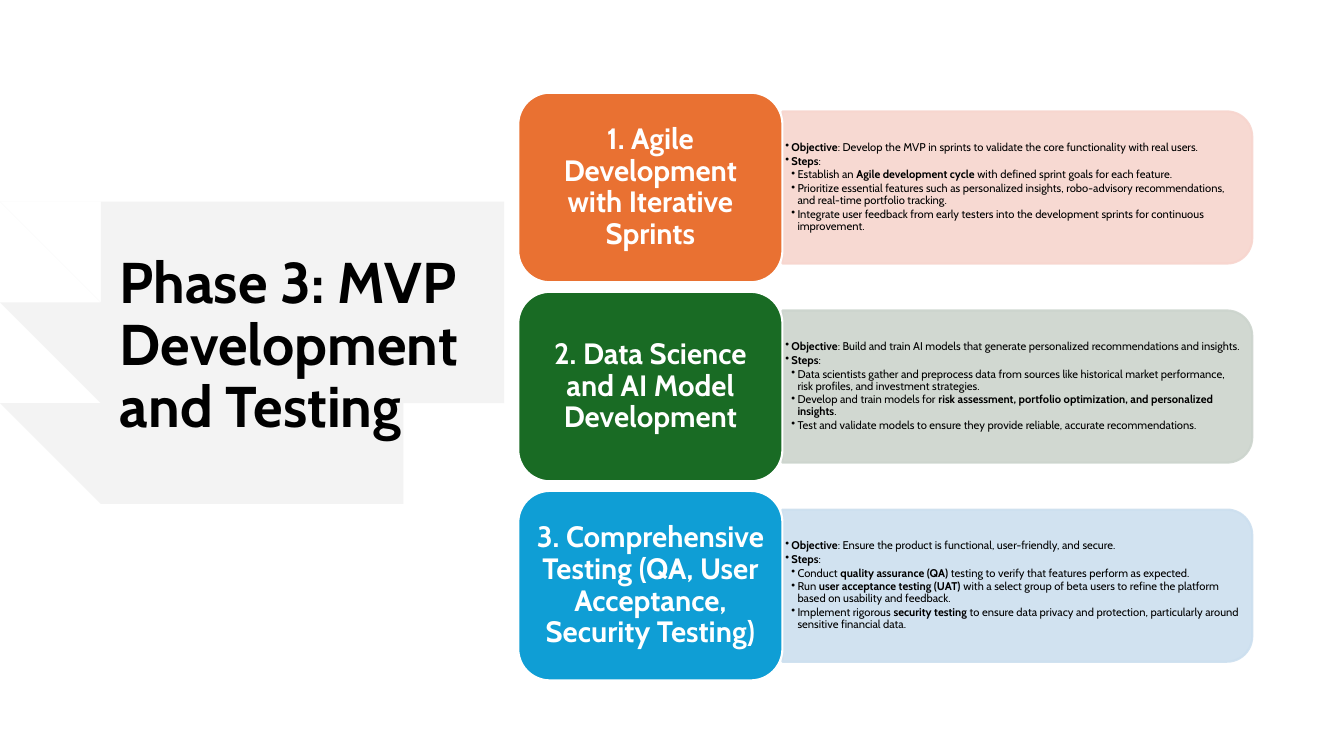
from dataclasses import dataclass

from lxml.etree import SubElement
from pptx import Presentation
from pptx.dml.color import RGBColor
from pptx.dml.fill import FillFormat
from pptx.enum.shapes import MSO_SHAPE
from pptx.enum.text import MSO_ANCHOR, PP_ALIGN
from pptx.oxml.ns import qn
from pptx.slide import Slide
from pptx.text.text import TextFrame, _Paragraph
from pptx.util import Inches, Pt

Point = tuple[float, float]

FONT = "Cabin"
CARD_LEFT, CARD_TOP, CARD_WIDTH, CARD_HEIGHT = 5.14, 0.92, 2.62, 1.88
CARD_PITCH = 1.975
PANEL_WIDTH, PANEL_HEIGHT = 4.66, 1.51
DETAIL_WIDTH, DETAIL_HEIGHT = 4.58, 1.36
BULLET_INDENT = 0.06


@dataclass
class Stage:
    title: str
    color: str
    panel_color: str
    objective: str
    steps: list[str]  # bold passages stand between asterisks


STAGES = [
    Stage(
        "1. Agile Development with Iterative Sprints", "E97132", "F7D5CE",
        "Develop the MVP in sprints to validate the core functionality with real users.",
        ["Establish an *Agile development cycle* with defined sprint goals for each feature.",
         "Prioritize essential features such as personalized insights, robo-advisory "
         "recommendations, and real-time portfolio tracking.",
         "Integrate user feedback from early testers into the development sprints for "
         "continuous improvement."]),
    Stage(
        "2. Data Science and AI Model Development", "196B24", "CCD4CD",
        "Build and train AI models that generate personalized recommendations and insights.",
        ["Data scientists gather and preprocess data from sources like historical market "
         "performance, risk profiles, and investment strategies.",
         "Develop and train models for *risk assessment, portfolio optimization, and "
         "personalized insights*.",
         "Test and validate models to ensure they provide reliable, accurate recommendations."]),
    Stage(
        "3. Comprehensive Testing (QA, User Acceptance, Security Testing)", "0F9ED5", "CCDFEF",
        "Ensure the product is functional, user-friendly, and secure.",
        ["Conduct *quality assurance (QA)* testing to verify that features perform as expected.",
         "Run *user acceptance testing (UAT)* with a select group of beta users to refine the "
         "platform based on usability and feedback.",
         "Implement rigorous *security testing* to ensure data privacy and protection, "
         "particularly around sensitive financial data."]),
]

# Brush stroke: two ragged ends joined by two smooth edges
RIGHT_END = [
    (4.58, 1.5), (4.57, 1.59), (4.72, 1.6), (4.74, 1.77), (4.88, 1.98), (4.86, 2.35),
    (4.75, 2.49), (4.86, 2.54), (4.93, 2.7), (4.82, 2.89), (4.96, 2.93), (5.14, 3.24),
    (5.12, 3.5), (4.76, 3.99), (4.75, 4.12),
]
LOWER_EDGE = [(4.56, 4.35), (4.56, 4.36), (3.72, 5.33), (2.49, 5.42)]
LEFT_END = [
    (1.39, 5.38), (0.96, 5.18), (0.66, 5.05), (1.02, 5.04), (0.66, 4.86), (0.8, 4.84),
    (0.62, 4.64), (0.36, 4.49), (0.6, 4.53), (0.19, 4.29), (0.41, 4.27), (0.2, 4.17),
    (0.39, 4.11), (0.51, 3.96), (0.53, 3.74), (0.35, 3.6), (0.63, 3.52), (0.25, 3.29),
    (0.3, 3.05), (0.78, 3.09), (0.4, 2.77), (0.37, 2.68), (0.32, 2.54), (0.67, 2.74),
    (0.35, 2.42), (0.28, 2.25), (0.47, 2.35), (0.4, 2.25), (1.17, 2.71), (0.79, 2.46),
    (0.56, 2.23), (0.5, 2.1), (0.85, 2.3), (0.53, 1.98), (0.47, 1.81), (0.65, 1.91),
    (0.58, 1.82), (0.94, 2.05), (1.3, 2.25),
]
UPPER_EDGE = [(1.3, 2.25), (2.04, 2.52), (3.41, 2.18), (4.02, 1.82)]
UPPER_TIP = [(4.23, 1.72), (4.38, 1.69)]


def rgb(color: str) -> RGBColor:
    return RGBColor.from_string(color)


def curve(controls: list[Point], steps: int = 16) -> list[Point]:
    """Return points along a cubic Bézier curve."""
    points = []
    for step in range(steps + 1):
        t = step / steps
        weights = [(1 - t) ** 3, 3 * t * (1 - t) ** 2, 3 * t ** 2 * (1 - t), t ** 3]
        points.append((sum(w * x for w, (x, _) in zip(weights, controls)),
                       sum(w * y for w, (_, y) in zip(weights, controls))))
    return points


def set_fill(fill: FillFormat, color: str, opacity: int = 100) -> None:
    fill.solid()
    fill.fore_color.rgb = rgb(color)
    if opacity < 100:
        for element in fill._xPr.find(qn("a:solidFill")):
            SubElement(element, qn("a:alpha"), val=str(opacity * 1000))


def set_frame(frame: TextFrame, horizontal: float, top: float, bottom: float) -> None:
    frame.word_wrap = True
    frame.vertical_anchor = MSO_ANCHOR.MIDDLE
    frame.margin_left = frame.margin_right = Inches(horizontal)
    frame.margin_top, frame.margin_bottom = Inches(top), Inches(bottom)


def set_font(paragraph: _Paragraph, size: float, color: str, bold: bool | None = None) -> None:
    font = paragraph.font
    font.name, font.size, font.bold = FONT, Pt(size), bold
    font.color.rgb = rgb(color)
    paragraph.line_spacing = 0.9


def add_brush(slide: Slide) -> None:
    outline = RIGHT_END + curve(LOWER_EDGE) + LEFT_END + curve(UPPER_EDGE) + UPPER_TIP
    builder = slide.shapes.build_freeform(*outline[0], scale=Inches(1))
    builder.add_line_segments(outline[1:], close=True)
    brush = builder.convert_to_shape()
    brush.shadow.inherit = False
    set_fill(brush.fill, "E8E8E8", 50)
    brush.line.fill.background()


def add_heading(slide: Slide) -> None:
    heading = slide.shapes.add_textbox(Inches(1.09), Inches(0.75), Inches(3.82), Inches(6.01))
    set_frame(heading.text_frame, 0.1, 0.05, 0.67)
    paragraph = heading.text_frame.paragraphs[0]
    paragraph.text = "Phase 3: MVP Development and Testing"
    set_font(paragraph, 41, "000000", True)


def add_bullet(paragraph: _Paragraph, text: str, level: int) -> None:
    for index, passage in enumerate(text.split("*")):
        if passage:
            run = paragraph.add_run()
            run.text = passage
            run.font.bold = index % 2 == 1
    paragraph.level = level
    paragraph.space_after = Pt(1.2)
    set_font(paragraph, 8, "000000")
    properties = paragraph._p.get_or_add_pPr()
    properties.set("marL", str(Inches(BULLET_INDENT * level)))
    properties.set("indent", str(-Inches(BULLET_INDENT)))
    bullet = properties.makeelement(qn("a:buChar"), {"char": "•"})
    properties.find(qn("a:defRPr")).addprevious(bullet)


def add_stage(slide: Slide, stage: Stage, top: float) -> None:
    middle = top + CARD_HEIGHT / 2
    right = CARD_LEFT + CARD_WIDTH

    # Pale panel, turned so that its round corners face right
    panel = slide.shapes.add_shape(
        MSO_SHAPE.ROUND_2_SAME_RECTANGLE,
        Inches(right + (PANEL_WIDTH - PANEL_HEIGHT) / 2), Inches(middle - PANEL_WIDTH / 2),
        Inches(PANEL_HEIGHT), Inches(PANEL_WIDTH))
    panel.rotation = 90
    panel.shadow.inherit = False
    set_fill(panel.fill, stage.panel_color, 90)
    set_fill(panel.line.fill, stage.panel_color, 90)
    panel.line.width = Pt(1.5)

    # Objective and steps
    details = slide.shapes.add_textbox(
        Inches(right), Inches(middle - DETAIL_HEIGHT / 2),
        Inches(DETAIL_WIDTH), Inches(DETAIL_HEIGHT))
    frame = details.text_frame
    set_frame(frame, 0.03, 0.02, 0.02)
    add_bullet(frame.paragraphs[0], f"*Objective*: {stage.objective}", 1)
    add_bullet(frame.add_paragraph(), "*Steps*:", 1)
    for step in stage.steps:
        add_bullet(frame.add_paragraph(), step, 2)

    # Title card
    card = slide.shapes.add_shape(
        MSO_SHAPE.ROUNDED_RECTANGLE,
        Inches(CARD_LEFT), Inches(top), Inches(CARD_WIDTH), Inches(CARD_HEIGHT))
    card.shadow.inherit = False
    set_fill(card.fill, stage.color)
    set_fill(card.line.fill, "FFFFFF")
    card.line.width = Pt(1.5)
    set_frame(card.text_frame, 0.09, 0.04, 0.04)
    paragraph = card.text_frame.paragraphs[0]
    paragraph.text = stage.title
    paragraph.alignment = PP_ALIGN.CENTER
    set_font(paragraph, 21, "FFFFFF", True)


def main() -> None:
    presentation = Presentation()
    presentation.slide_width, presentation.slide_height = Inches(13.33), Inches(7.5)
    slide = presentation.slides.add_slide(presentation.slide_layouts[6])
    add_brush(slide)
    add_heading(slide)
    for index, stage in enumerate(STAGES):
        add_stage(slide, stage, CARD_TOP + index * CARD_PITCH)
    presentation.save("out.pptx")


if __name__ == "__main__":
    main()
